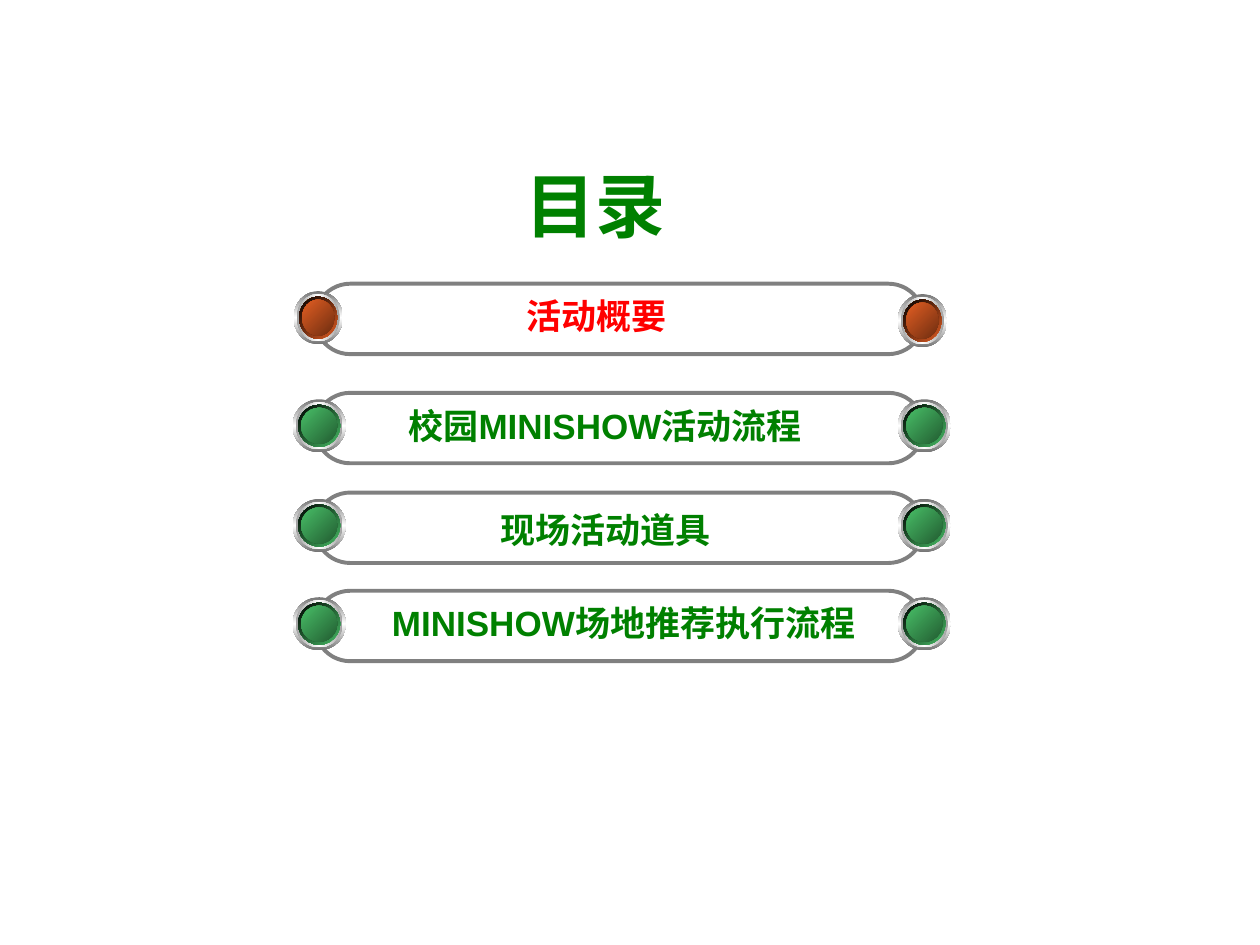
"""Build a contents slide with four pill-shaped entries and glossy buttons."""
from dataclasses import dataclass

import pptx
import pptx.dml.color
import pptx.enum.shapes
import pptx.enum.text
import pptx.oxml
import pptx.oxml.ns
import pptx.util

Cm = pptx.util.Cm
SHAPE = pptx.enum.shapes.MSO_SHAPE

COLORS = {
    "green": "008000",
    "red": "FF0000",
    "border": "808080",
    "white": "FFFFFF",
    "rim": "757575",
    "ring": "A1A1A1",
    "black": "000000",
    "leaf": "48BE67",
    "leaf_dark": "225C31",
    "orange": "E35E23",
    "orange_dark": "6D2D10",
}
BAR_LEFT, BAR_WIDTH, BAR_HEIGHT = 6.35, 12.27, 1.42
BUTTON_HEIGHT = 1.07


@dataclass
class Label:
    text: str
    left: float
    top: float
    width: float
    height: float = 1.12
    size: int = 20
    color: str = "green"


@dataclass
class Button:
    left: float
    drop: float = 0.13
    width: float = 1.07
    light: str = "leaf"
    dark: str = "leaf_dark"


@dataclass
class Entry:
    top: float
    label: Label
    buttons: tuple[Button, ...] = (Button(18.1), Button(5.9))


@dataclass
class Layer:
    inset: float
    colors: tuple[str, ...]
    angle: int


TITLE = Label("目录", 10.34, 3.15, 3.33, 1.96, 40)
ORANGE_BUTTONS = (
    Button(5.92, 0.15, 0.99, "orange", "orange_dark"),
    Button(18.1, 0.21, 0.99, "orange", "orange_dark"),
)
ENTRIES = [
    Entry(5.72, Label("活动概要", 10.36, 5.82, 3.33, color="red"), ORANGE_BUTTONS),
    Entry(7.92, Label("校园MINISHOW活动流程", 7.62, 8.03, 9.16)),
    Entry(9.93, Label("现场活动道具", 9.73, 10.13, 4.95)),
    Entry(11.91, Label("MINISHOW场地推荐执行流程", 7.37, 12.01, 10.41)),
]


def rgb(name: str) -> pptx.dml.color.RGBColor:
    """Return the named colour."""
    return pptx.dml.color.RGBColor.from_string(COLORS[name])


def fill_gradient(s, names: tuple[str, ...], angle: int) -> None:
    """Fill a shape with evenly spaced stops along a clockwise angle."""
    s.fill.gradient()
    s.fill.gradient_angle = 360 - angle
    stops = s._element.spPr.find(".//" + pptx.oxml.ns.qn("a:gsLst"))
    for stop in list(stops):
        stops.remove(stop)
    for i, name in enumerate(names):
        pos = 100000 * i // (len(names) - 1)
        stops.append(pptx.oxml.parse_xml(
            f'<a:gs {pptx.oxml.ns.nsdecls("a")} pos="{pos}">'
            f'<a:srgbClr val="{COLORS[name]}"/></a:gs>'))


def draw_button(shapes, button: Button, bar_top: float) -> None:
    """Draw a button as concentric gradient ellipses."""
    layers = [
        Layer(0, ("rim", "white", "rim"), 90),
        Layer(0.06, ("ring", "white", "ring"), 180),
        Layer(0.11, (button.light, "black"), 225),
        Layer(0.17, (button.dark, button.light), 225),
    ]
    for layer in layers:
        s = shapes.add_shape(
            SHAPE.OVAL,
            Cm(button.left + layer.inset),
            Cm(bar_top + button.drop + layer.inset),
            Cm(button.width - 2 * layer.inset),
            Cm(BUTTON_HEIGHT - 2 * layer.inset))
        s.shadow.inherit = False
        s.line.fill.background()
        fill_gradient(s, layer.colors, layer.angle)


def draw_label(shapes, label: Label) -> None:
    """Draw a centred bold label."""
    s = shapes.add_textbox(
        Cm(label.left), Cm(label.top), Cm(label.width), Cm(label.height))
    tf = s.text_frame
    tf.word_wrap = False
    tf.auto_size = pptx.enum.text.MSO_AUTO_SIZE.SHAPE_TO_FIT_TEXT
    tf.text = label.text
    p = tf.paragraphs[0]
    p.alignment = pptx.enum.text.PP_ALIGN.CENTER
    r = p.runs[0]
    r.font.name = "Arial"
    r.font.size = pptx.util.Pt(label.size)
    r.font.bold = True
    r.font.color.rgb = rgb(label.color)


def draw_entry(shapes, entry: Entry) -> None:
    """Draw one contents entry: grouped bar and buttons, then its label."""
    group = shapes.add_group_shape()
    s = group.shapes.add_shape(
        SHAPE.ROUNDED_RECTANGLE,
        Cm(BAR_LEFT), Cm(entry.top), Cm(BAR_WIDTH), Cm(BAR_HEIGHT))
    s.adjustments[0] = 0.5
    s.shadow.inherit = False
    s.fill.background()
    s.line.color.rgb = rgb("border")
    s.line.width = pptx.util.Pt(2.25)
    for button in entry.buttons:
        draw_button(group.shapes, button, entry.top)
    draw_label(shapes, entry.label)


def main() -> None:
    """Build and save the slide."""
    prs = pptx.Presentation()
    prs.slide_width, prs.slide_height = Cm(25.4), Cm(19.05)
    slide = prs.slides.add_slide(prs.slide_layouts[6])
    draw_label(slide.shapes, TITLE)
    for entry in ENTRIES:
        draw_entry(slide.shapes, entry)
    prs.save("out.pptx")


if __name__ == "__main__":
    main()
